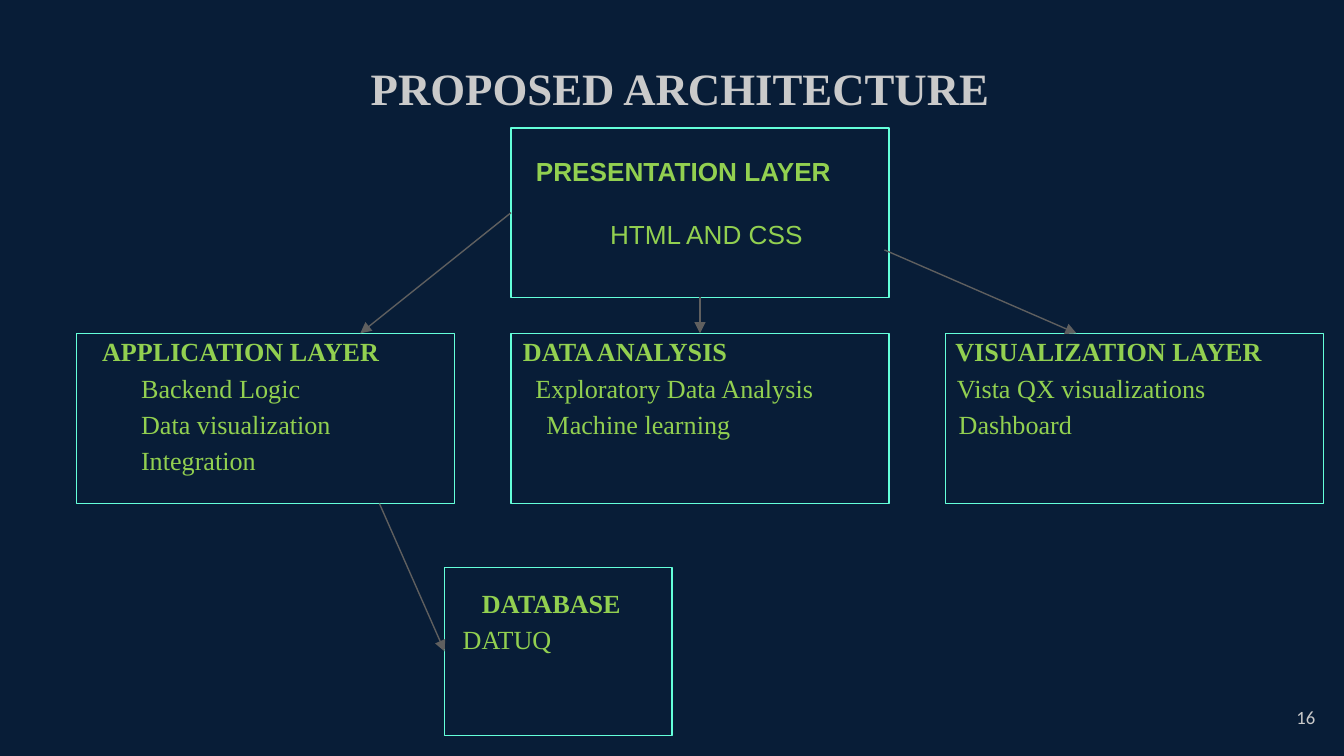
import pptx
import pptx.dml.color
import pptx.enum.shapes
import pptx.enum.text
import pptx.oxml
import pptx.oxml.ns
import pptx.util

Pt = pptx.util.Pt
RGBColor = pptx.dml.color.RGBColor
ALIGN = pptx.enum.text.PP_ALIGN
ANCHOR = pptx.enum.text.MSO_ANCHOR

NAVY = RGBColor(0x08, 0x1D, 0x37)
SILVER = RGBColor(0xCA, 0xCA, 0xCA)
GREEN = RGBColor(0x92, 0xD0, 0x50)
AQUA = RGBColor(0x64, 0xFF, 0xDA)
GRAY = RGBColor(0x5F, 0x5F, 0x5F)
SERIF = "Times New Roman"


def write(frame, text, font=SERIF, size=14, color=GREEN, bold=False,
          align=ALIGN.LEFT, indent=0, after=0):
    """Fill the frame's empty first paragraph, or append a new one."""
    paragraph = frame.add_paragraph() if frame.text else frame.paragraphs[0]
    paragraph.alignment = align
    paragraph.line_spacing = 1.0
    paragraph.space_before = Pt(0)
    paragraph.space_after = Pt(after)
    properties = paragraph._p.get_or_add_pPr()
    properties.set("marL", str(Pt(indent)))
    properties.set("indent", "0")
    run = paragraph.add_run()
    run.text = text
    run.font.name = font
    run.font.size = Pt(size)
    run.font.bold = bold
    run.font.color.rgb = color


def prepare(frame, left=7.2, top=7.2, anchor=ANCHOR.TOP):
    frame.word_wrap = True
    frame.auto_size = pptx.enum.text.MSO_AUTO_SIZE.NONE
    frame.vertical_anchor = anchor
    frame.margin_left = frame.margin_right = Pt(left)
    frame.margin_top = frame.margin_bottom = Pt(top)


presentation = pptx.Presentation()
presentation.slide_width = Pt(720)
presentation.slide_height = Pt(405)
slide = presentation.slides.add_slide(presentation.slide_layouts[5])
slide.background.fill.solid()
slide.background.fill.fore_color.rgb = NAVY

title = slide.shapes.title
title.left, title.top, title.width, title.height = Pt(24.5), Pt(25.5), Pt(671), Pt(42)
prepare(title.text_frame)
write(title.text_frame, "PROPOSED ARCHITECTURE", size=24, color=SILVER, bold=True,
      align=ALIGN.CENTER, indent=8.6)

# name: (left, top, width, height, top margin, font, gap, lines as (text, indent))
LAYER_TOP, LAYER_WIDTH, LAYER_HEIGHT = 178.6, 202.5, 91.2
boxes = {
    "presentation": (273.8, 68.6, LAYER_WIDTH, 90.7, 14.7, "Arial", 16.7,
                     [("PRESENTATION LAYER", 13.3), ("HTML AND CSS", 6.8)]),
    "application": (41, LAYER_TOP, LAYER_WIDTH, LAYER_HEIGHT, 1.2, SERIF, 2.7,
                    [("APPLICATION LAYER", 13.7), ("Backend Logic", 34.6),
                     ("Data visualization", 34.6), ("Integration", 34.6)]),
    "analysis": (273.8, LAYER_TOP, LAYER_WIDTH, LAYER_HEIGHT, 1.2, SERIF, 2.7,
                 [("DATA ANALYSIS", 6.4), ("Exploratory Data Analysis", 13.1),
                  ("Machine learning", 19)]),
    "visualization": (506.4, LAYER_TOP, LAYER_WIDTH, LAYER_HEIGHT, 1.2, SERIF, 2.7,
                      [("VISUALIZATION LAYER", 5.4), ("Vista QX visualizations", 6.3),
                       ("Dashboard", 7.2)]),
    "database": (238.2, 304, 121.8, 90, 10.5, SERIF, 2.7,
                 [("DATABASE", 20), ("DATUQ", 9.7)]),
}
shapes = {}
for name, (left, top, width, height, margin, font, gap, lines) in boxes.items():
    shape = slide.shapes.add_shape(pptx.enum.shapes.MSO_SHAPE.RECTANGLE,
                                   Pt(left), Pt(top), Pt(width), Pt(height))
    shape.shadow.inherit = False
    shape.fill.background()
    shape.line.color.rgb = AQUA
    shape.line.width = Pt(0.75)
    prepare(shape.text_frame, left=0, top=margin)
    for row, (text, indent) in enumerate(lines):
        centered = text == "HTML AND CSS"
        write(shape.text_frame, text, font=font, bold=row == 0, indent=indent, after=gap,
              align=ALIGN.CENTER if centered else ALIGN.LEFT)
    shapes[name] = shape

# start point, end point, then the (box, side) joined at each end
TOP, LEFT, BOTTOM = 0, 1, 2
arrows = [
    ((273.8, 113.9), (193, 178.6), ("presentation", LEFT), None),
    ((203.3, 269.8), (238.2, 349), None, ("database", LEFT)),
    ((375, 159.3), (375, 178.6), ("presentation", BOTTOM), ("analysis", TOP)),
    ((473.8, 133.9), (576.7, 178.6), None, None),
]
for start, end, source, target in arrows:
    arrow = slide.shapes.add_connector(pptx.enum.shapes.MSO_CONNECTOR.STRAIGHT,
                                       *map(Pt, start + end))
    if source:
        arrow.begin_connect(shapes[source[0]], source[1])
    if target:
        arrow.end_connect(shapes[target[0]], target[1])
    arrow.line.color.rgb = GRAY
    arrow.line.width = Pt(0.75)
    head = pptx.oxml.parse_xml(
        f'<a:tailEnd {pptx.oxml.ns.nsdecls("a")} type="triangle"/>')
    arrow.line._get_or_add_ln().append(head)
    arrow._element.spPr.append(
        pptx.oxml.parse_xml(f'<a:effectLst {pptx.oxml.ns.nsdecls("a")}/>'))

page_number = slide.shapes.add_textbox(Pt(668.5), Pt(368.6), Pt(43.2), Pt(31))
prepare(page_number.text_frame, anchor=ANCHOR.MIDDLE)
write(page_number.text_frame, "16", font="Calibri", size=10, color=SILVER,
      align=ALIGN.RIGHT)

presentation.save("out.pptx")
